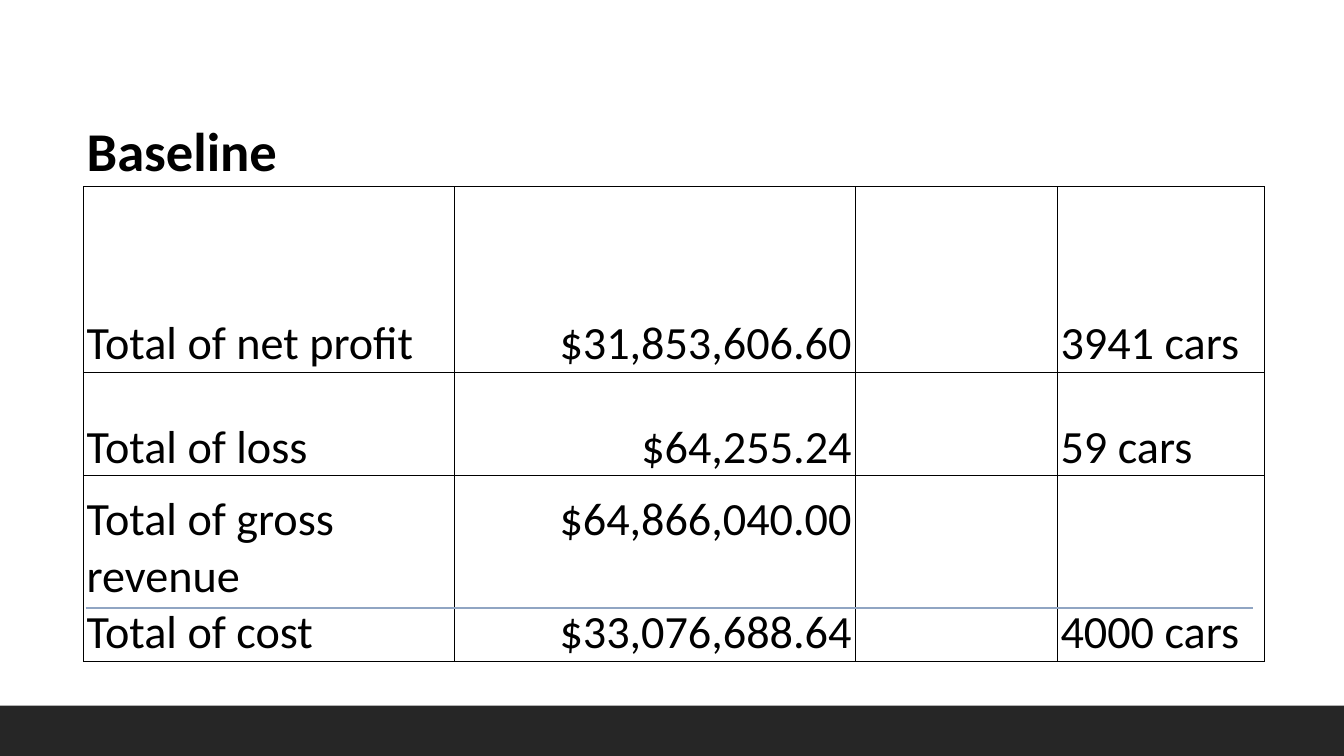
"""Build the baseline slide: totals of profit, loss, revenue and cost."""
import lxml.etree
import pptx
import pptx.dml.color
import pptx.enum.shapes
import pptx.enum.text
import pptx.oxml
import pptx.oxml.ns
import pptx.util

Inches = pptx.util.Inches
Pt = pptx.util.Pt
LEFT = pptx.enum.text.PP_ALIGN.LEFT
RIGHT = pptx.enum.text.PP_ALIGN.RIGHT


def color(code):
    return pptx.dml.color.RGBColor.from_string(code)


def set_border(cell, sides, code):
    properties = cell._tc.get_or_add_tcPr()
    for position, side in enumerate("LRTB"):
        edge = lxml.etree.Element(pptx.oxml.ns.qn(f"a:ln{side}"), w=str(Pt(0.5)))
        if side in sides:
            paint = lxml.etree.SubElement(edge, pptx.oxml.ns.qn("a:solidFill"))
            lxml.etree.SubElement(paint, pptx.oxml.ns.qn("a:srgbClr"), val=code)
        else:
            lxml.etree.SubElement(edge, pptx.oxml.ns.qn("a:noFill"))
        properties.insert(position, edge)


deck = pptx.Presentation()
deck.slide_width, deck.slide_height = Inches(13.33), Inches(7.5)
slide = deck.slides.add_slide(deck.slide_layouts[6])

footer_height = deck.slide_height // 15
footer = slide.shapes.add_shape(
    pptx.enum.shapes.MSO_SHAPE.RECTANGLE,
    0, deck.slide_height - footer_height, deck.slide_width, footer_height)
footer.shadow.inherit = False
footer.fill.solid()
footer.fill.fore_color.rgb = color("262626")
footer.line.fill.background()

column_widths = [3.17, 0.51, 3.97, 2.01, 2.05]
row_heights = [1.16, 1.84, 1.03, 1.84]
rows = [
    [["Baseline"], [], [], [], []],
    [["Total of net profit"], [], ["$31,853,606.60"], [], ["3941 cars"]],
    [["Total of loss"], [], ["$64,255.24"], [], ["59 cars"]],
    [["Total of gross revenue", "Total of cost"], [],
     ["$64,866,040.00", "$33,076,688.64"], [], ["4000 cars"]],
]
cell_format = {
    "margin_left": Inches(0.03), "margin_right": Inches(0.03),
    "margin_top": Inches(0.03), "margin_bottom": 0,
    "vertical_anchor": pptx.enum.text.MSO_ANCHOR.BOTTOM,
}
heading_font = {"name": "Calibri", "size": Pt(39), "bold": True}
body_font = {"name": "Calibri", "size": Pt(33), "bold": False}
amount_column = 2
skipped_line = Pt(40.3)

totals = slide.shapes.add_table(
    len(rows), len(column_widths), Inches(0.83), Inches(0.69),
    Inches(sum(column_widths)), Inches(sum(row_heights))).table
totals.first_row = totals.horz_banding = False
for column, width in zip(totals.columns, column_widths):
    column.width = Inches(width)
for row, height in zip(totals.rows, row_heights):
    row.height = Inches(height)

for r, row in enumerate(rows):
    for c, entries in enumerate(row):
        cell = totals.cell(r, c)
        for attribute, value in cell_format.items():
            setattr(cell, attribute, value)
        cell.fill.background()
        set_border(cell, "LRTB" if r else "B", "000000")
        for i, entry in enumerate(entries):
            frame = cell.text_frame
            paragraph = frame.add_paragraph() if i else frame.paragraphs[0]
            paragraph.alignment = RIGHT if c == amount_column else LEFT
            if i and c == amount_column:
                paragraph.space_before = skipped_line
            run = paragraph.add_run()
            run.text = entry
            for attribute, value in (body_font if r else heading_font).items():
                setattr(run.font, attribute, value)
            run.font.color.rgb = color("000000")
    if r:
        totals.cell(r, 0).merge(totals.cell(r, 1))

cost_rule = slide.shapes.add_connector(
    pptx.enum.shapes.MSO_CONNECTOR.STRAIGHT,
    Inches(0.85), Inches(6.03), Inches(12.43), Inches(6.03))
cost_rule.line.color.rgb = color("90A5C3")
cost_rule.line.width = Pt(1)
lxml.etree.SubElement(cost_rule._element.spPr, pptx.oxml.ns.qn("a:effectLst"))

deck.save("out.pptx")
